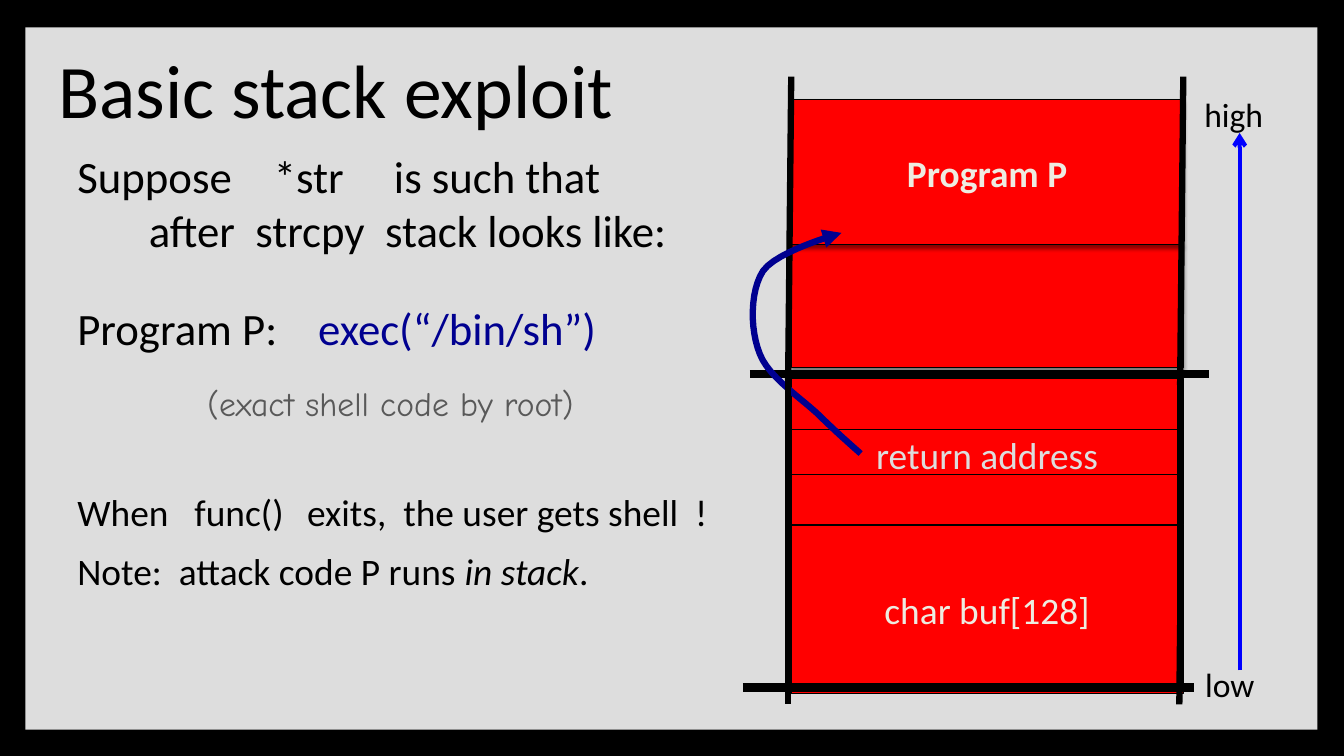
"""Build the slide that explains a basic stack exploit."""
from lxml.etree import SubElement
from pptx import Presentation
from pptx.dml.color import RGBColor
from pptx.enum.shapes import MSO_CONNECTOR as Link, MSO_SHAPE as Preset
from pptx.enum.text import MSO_ANCHOR as Anchor, PP_ALIGN as Align
from pptx.oxml.ns import qn
from pptx.util import Cm, Pt

BLACK, GREY, RED, NAVY, BLUE, CREAM = "000000", "DDDDDD", "FF0000", "000090", "0000FF", "EEECE1"

TITLE = "Basic stack exploit"
BODY = [
    {"spans": [("Suppose\t*str\tis such that", {})], "size": 32, "tabs": (4.95, 7.98)},
    {"spans": [("after  strcpy  stack looks like:", {})], "size": 32, "indent": 1.8},
    {"spans": [("Program P:\t", {}), ("exec(“/bin/sh”)", {"color": NAVY})],
     "size": 32, "before": 31.7, "tabs": (6.07,)},
    {"spans": [("When\tfunc()\texits,  the user gets shell  !", {})],
     "size": 26.7, "before": 96, "tabs": (2.95, 5.79)},
    {"spans": [("Note:  attack code P runs ", {}), ("in stack", {"italic": True}), (".", {})],
     "size": 26.7, "before": 10},
]
LABELS = [
    ("(exact shell code by root)", (4.98, 9.53, 10.77, 1.27),
     {"size": 24, "font": "Comic Neue", "color": "595959"}),
    ("low", (30.12, 16.61, 1.78, 1.27), {"size": 24}),
    ("high", (30.1, 2.24, 2.08, 1.27), {"size": 24}),
]

STACK_LEFT, OUTLINE_LEFT, STACK_WIDTH = 19.94, 19.86, 9.88
LOWER_CELLS = [
    (9.55, 1.27, "", {}),
    (10.82, 1.27, "return address", {"color": GREY}),
    (11.96, 1.27, "", {}),
    (13.23, 4.24, "char buf[128]", {"color": CREAM}),
]
UPPER_CELLS = [
    (6.17, 3.1, "", {}),
    (2.51, 3.66, "Program P", {"color": CREAM, "bold": True}),
]
FRAME_LINES = [
    ((18.72, 17.32), (30.1, 17.32), 6),
    ((18.9, 9.42), (30.48, 9.42), 6),
    ((19.86, 15.75), (19.86, 17.75), 4.5),
    ((29.74, 15.75), (29.72, 17.75), 4.5),
    ((29.82, 1.93), (29.74, 9.7), 4.5),
    ((19.94, 1.93), (19.86, 9.7), 4.5),
]
JUMP_START = (21.69, 11.43)
JUMP_CURVES = [
    ((21.41, 11.18), (21.11, 10.92), (20.7, 10.52)),
    ((20.27, 10.08), (19.38, 9.53), (19.15, 8.92)),
    ((18.9, 8.31), (18.9, 7.34), (19.23, 6.83)),
    ((19.58, 6.32), (21.21, 5.87), (21.21, 5.87)),
]
CURVE_STEPS = 12


def rgb(value):
    return RGBColor.from_string(value)


def add_span(para, text, size=26.7, font="Calibri", color=BLACK, bold=False, italic=False):
    span = para.add_run()
    span.text = text
    span.font.size, span.font.name = Pt(size), font
    span.font.bold, span.font.italic = bold, italic
    span.font.color.rgb = rgb(color)


def set_line(shape, color, width, head=None):
    shape.line.color.rgb = rgb(color)
    shape.line.width = Pt(width)
    if head:
        SubElement(shape.element.spPr.find(qn("a:ln")), qn("a:tailEnd"), type=head)


def add_box(page, area, fill=None, line=None, width=0.75):
    box = page.shapes.add_shape(Preset.RECTANGLE, *map(Cm, area))
    if fill:
        box.fill.solid()
        box.fill.fore_color.rgb = rgb(fill)
    else:
        box.fill.background()
    if line:
        set_line(box, line, width)
    else:
        box.line.fill.background()
    box.shadow.inherit = False
    return box


def add_cell(page, top, height, text, style, width=0.75):
    cell = add_box(page, (STACK_LEFT, top, STACK_WIDTH, height), RED, BLACK, width)
    if text:
        frame = cell.text_frame
        frame.vertical_anchor, frame.word_wrap = Anchor.MIDDLE, False
        para = frame.paragraphs[0]
        para.alignment = Align.CENTER
        add_span(para, text, **style)
    return cell


def add_shadow(shape):
    effects = shape.element.spPr.find(qn("a:effectLst"))
    shadow = SubElement(effects, qn("a:outerShdw"), blurRad=str(Pt(3)), dist=str(Pt(2)),
                        dir="5400000", rotWithShape="0")
    tint = SubElement(shadow, qn("a:srgbClr"), val=BLACK)
    SubElement(tint, qn("a:alpha"), val="45000")


def add_line(page, start, end, color, width, head=None):
    line = page.shapes.add_connector(Link.STRAIGHT, *map(Cm, start + end))
    set_line(line, color, width, head)
    SubElement(line.element.spPr, qn("a:effectLst"))


def curve_points(start, curves):
    for first, second, end in curves:
        for step in range(1, CURVE_STEPS + 1):
            t = step / CURVE_STEPS
            u = 1 - t
            yield tuple(
                Cm(u**3 * a + 3 * u**2 * t * b + 3 * u * t**2 * c + t**3 * d)
                for a, b, c, d in zip(start, first, second, end))
        start = end


def add_jump(page):
    builder = page.shapes.build_freeform(*map(Cm, JUMP_START))
    builder.add_line_segments(list(curve_points(JUMP_START, JUMP_CURVES)), close=False)
    jump = builder.convert_to_shape()
    jump.fill.background()
    set_line(jump, NAVY, 4.5, "triangle")
    jump.shadow.inherit = False


def add_title(page):
    title = page.shapes.title
    title.left, title.top, title.width, title.height = map(Cm, (1.22, 0.61, 20.04, 2.92))
    title.text_frame.vertical_anchor = Anchor.BOTTOM
    para = title.text_frame.paragraphs[0]
    para.alignment, para.line_spacing = Align.LEFT, 0.9
    add_span(para, TITLE, size=54)


def add_body(page):
    frame = page.shapes.add_textbox(*map(Cm, (1.7, 3.63, 17.22, 13.4))).text_frame
    frame.word_wrap = True
    for index, item in enumerate(BODY):
        para = frame.add_paragraph() if index else frame.paragraphs[0]
        para.space_before = Pt(item.get("before", 0))
        props = para._p.get_or_add_pPr()
        props.set("marL", str(Cm(item.get("indent", 0))))
        if "tabs" in item:
            stops = SubElement(props, qn("a:tabLst"))
            for position in item["tabs"]:
                SubElement(stops, qn("a:tab"), pos=str(Cm(position)), algn="l")
        for text, style in item["spans"]:
            add_span(para, text, size=item["size"], **style)


def main():
    deck = Presentation()
    deck.slide_width, deck.slide_height = Cm(33.87), Cm(19.05)
    page = deck.slides.add_slide(deck.slide_layouts[5])
    page.background.fill.solid()
    page.background.fill.fore_color.rgb = rgb(BLACK)
    panel = add_box(page, (0.64, 0.69, 32.56, 17.7), GREY)
    page.shapes.title.element.addprevious(panel.element)
    add_title(page)
    add_box(page, (OUTLINE_LEFT, 13.23, STACK_WIDTH, 4.24), RED, BLACK)
    for cell in LOWER_CELLS:
        add_cell(page, *cell)
    add_body(page)
    for start, end, width in FRAME_LINES[:4]:
        add_line(page, start, end, BLACK, width)
    for cell in UPPER_CELLS:
        add_shadow(add_cell(page, *cell, width=0.79))
    for start, end, width in FRAME_LINES[4:]:
        add_line(page, start, end, BLACK, width)
    add_jump(page)
    add_box(page, (OUTLINE_LEFT, 9.42, STACK_WIDTH, 7.9), line=BLACK, width=4.5)
    add_line(page, (31.24, 16.89), (31.24, 3.35), BLUE, 3, "arrow")
    for text, area, style in LABELS:
        frame = page.shapes.add_textbox(*map(Cm, area)).text_frame
        frame.word_wrap = False
        add_span(frame.paragraphs[0], text, **style)
    deck.save("out.pptx")


if __name__ == "__main__":
    main()
